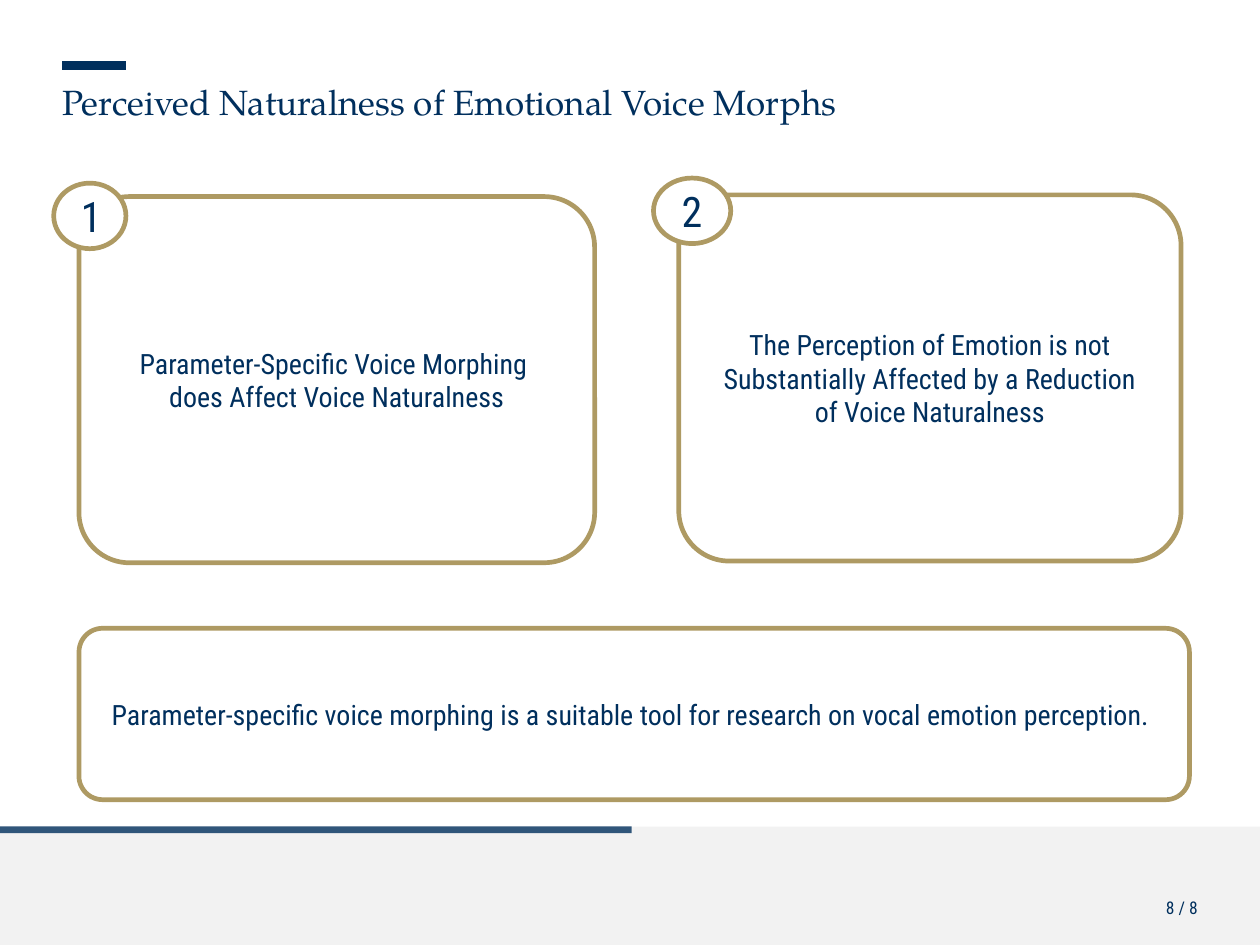
from lxml.etree import SubElement
from pptx import Presentation
from pptx.dml.color import RGBColor
from pptx.enum.shapes import MSO_CONNECTOR, MSO_SHAPE
from pptx.enum.text import MSO_ANCHOR, PP_ALIGN
from pptx.oxml.ns import qn
from pptx.util import Inches, Pt

# Content: paragraphs, then left, top, width, height in inches
TITLE = "Perceived Naturalness of Emotional Voice Morphs"
PAGE = "8 / 8"
FINDINGS = [
    (["Parameter-Specific Voice Morphing ", "does Affect Voice Naturalness"],
     (0.47, 1.17, 3.07, 2.18)),
    (["The Perception of Emotion is not Substantially Affected "
      "by a Reduction of Voice Naturalness"],
     (4.04, 1.16, 2.99, 2.18)),
    (["Parameter-specific voice morphing is a suitable tool "
      "for research on vocal emotion perception. "],
     (0.47, 3.74, 6.61, 1.02)),
]
BADGES = [("1", (0.32, 1.09, 0.43, 0.39)), ("2", (3.89, 1.06, 0.46, 0.39))]

NAVY, GOLD, WHITE, GREY = "002F5D", "AE9A63", "FFFFFF", "F2F2F2"
BODY_FONT, TITLE_FONT = "Roboto Condensed", "TeX Gyre Pagella"
SLIDE_W = 7.5
SLIDE_H = SLIDE_W * 3 / 4
FOOTER_TOP = 4.92
MARGIN = 0.37

deck = Presentation()
deck.slide_width, deck.slide_height = Inches(SLIDE_W), Inches(SLIDE_H)
slide = deck.slides.add_slide(deck.slide_layouts[6])


def paint(color_format, color):
    color_format.rgb = RGBColor.from_string(color)


def write(frame, paragraphs, size, font=BODY_FONT, align=PP_ALIGN.CENTER):
    frame.word_wrap = True
    for i, words in enumerate(paragraphs):
        paragraph = frame.paragraphs[0] if i == 0 else frame.add_paragraph()
        paragraph.alignment = align
        run = paragraph.add_run()
        run.text = words
        run.font.name, run.font.size = font, Pt(size)
        paint(run.font.color, NAVY)


def add_panel(kind, box, fill, outline=None):
    panel = slide.shapes.add_shape(kind, *map(Inches, box))
    panel.shadow.inherit = False
    panel.fill.solid()
    paint(panel.fill.fore_color, fill)
    if outline:
        paint(panel.line.color, outline)
        panel.line.width = Pt(2)
    else:
        panel.line.fill.background()
    return panel


def add_label(words, box, size, font, align):
    frame = slide.shapes.add_textbox(*map(Inches, box)).text_frame
    frame.margin_left = frame.margin_right = 0
    frame.margin_top = frame.margin_bottom = 0
    write(frame, [words], size, font, align)


# Footer band with translucent progress bar and page number
add_panel(MSO_SHAPE.RECTANGLE, (0, FOOTER_TOP, SLIDE_W, SLIDE_H - FOOTER_TOP), GREY)
progress = add_panel(MSO_SHAPE.RECTANGLE, (0, FOOTER_TOP, 3.76, 0.04), NAVY)
progress_color = progress._element.spPr.find(qn("a:solidFill")).find(qn("a:srgbClr"))
SubElement(progress_color, qn("a:alpha"), val="80000")
add_label(PAGE, (2.89, 5.34, 4.24, 0.17), 7.5, BODY_FONT, PP_ALIGN.RIGHT)

# Title with accent rule
accent = slide.shapes.add_connector(
    MSO_CONNECTOR.STRAIGHT, *map(Inches, (MARGIN, 0.39, 0.75, 0.39)))
paint(accent.line.color, NAVY)
accent.line.width = Pt(3.5)
SubElement(accent._element.spPr, qn("a:effectLst"))
add_label(TITLE, (MARGIN, 0.48, 5.09, 0.3), 15, TITLE_FONT, PP_ALIGN.LEFT)

# Findings and conclusion
for paragraphs, box in FINDINGS:
    card = add_panel(MSO_SHAPE.ROUNDED_RECTANGLE, box, WHITE, GOLD)
    card.adjustments[0] = 0.138
    card.text_frame.vertical_anchor = MSO_ANCHOR.MIDDLE
    write(card.text_frame, paragraphs, 12)

# Number badges
for number, box in BADGES:
    badge = add_panel(MSO_SHAPE.OVAL, box, WHITE, GOLD)
    badge.text_frame.vertical_anchor = MSO_ANCHOR.MIDDLE
    write(badge.text_frame, [number], 18)

deck.save("out.pptx")
